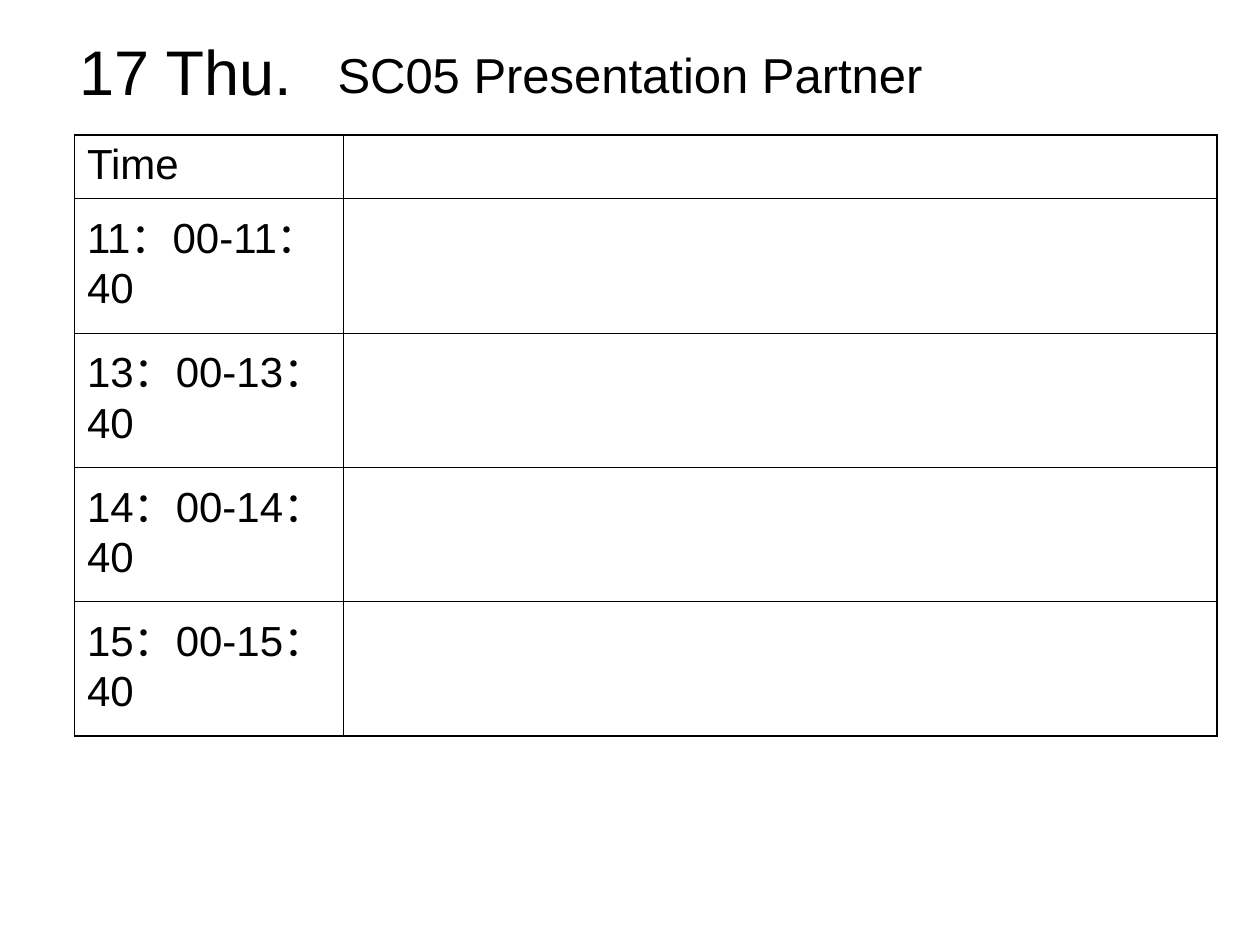
from lxml import etree
from pptx import Presentation
from pptx.dml.color import RGBColor
from pptx.enum.text import MSO_ANCHOR, PP_ALIGN
from pptx.oxml.ns import qn
from pptx.util import Cm, Pt

CENTER, LEFT = PP_ALIGN.CENTER, PP_ALIGN.LEFT
TOP = MSO_ANCHOR.TOP

HEADINGS = [
    {"text": "SC05 Presentation Partner", "box": (1.27, 0.77, 22.86, 3.17), "size": "title", "wrap": True},
    {"text": "17 Thu.", "box": (1.34, 0.53, 4.8, 1.78), "size": "date", "wrap": False},
]
SCHEDULE = ["Time", "11：00-11：40", "13：00-13：40", "14：00-14：40", "15：00-15：40"]
TABLE_LEFT, TABLE_TOP = 1.5, 2.72
COLUMN_WIDTHS = [5.42, 17.61]
ROW_HEIGHTS = [1.28] + [2.71] * (len(SCHEDULE) - 1)

THEME = {
    "font": "Arial",
    "ink": "000000",
    "sizes": {"title": 28, "date": 36, "table": 24},
    "outer": 1.08,
    "inner": 0.45,
}


def write_text(frame, text, size, alignment):
    paragraph = frame.paragraphs[0]
    paragraph.alignment = alignment
    run = paragraph.add_run()
    run.text = text
    for name, value in {"name": THEME["font"], "size": Pt(THEME["sizes"][size])}.items():
        setattr(run.font, name, value)
    run.font.color.rgb = RGBColor.from_string(THEME["ink"])


def add_borders(cell, outer_edges):
    properties = cell._tc.get_or_add_tcPr()
    for edge, is_outer in outer_edges.items():
        width = Pt(THEME["outer"] if is_outer else THEME["inner"])
        line = etree.SubElement(properties, qn(f"a:ln{edge}"), w=str(int(width)))
        fill = etree.SubElement(line, qn("a:solidFill"))
        etree.SubElement(fill, qn("a:srgbClr"), val=THEME["ink"])


def add_schedule(slide):
    row_count, column_count = len(SCHEDULE), len(COLUMN_WIDTHS)
    table = slide.shapes.add_table(
        row_count, column_count, Cm(TABLE_LEFT), Cm(TABLE_TOP),
        Cm(sum(COLUMN_WIDTHS)), Cm(sum(ROW_HEIGHTS)),
    ).table
    table.first_row = table.horz_banding = False
    for column, width in zip(table.columns, COLUMN_WIDTHS):
        column.width = Cm(width)
    for row_index, (row, height) in enumerate(zip(table.rows, ROW_HEIGHTS)):
        row.height = Cm(height)
        for column_index, cell in enumerate(row.cells):
            add_borders(cell, {
                "L": column_index == 0,
                "R": column_index == column_count - 1,
                "T": row_index == 0,
                "B": row_index == row_count - 1,
            })
            cell.fill.background()
        write_text(row.cells[0].text_frame, SCHEDULE[row_index], "table", LEFT)


def add_heading(slide, heading):
    frame = slide.shapes.add_textbox(*map(Cm, heading["box"])).text_frame
    for name, value in {"word_wrap": heading["wrap"], "vertical_anchor": TOP}.items():
        setattr(frame, name, value)
    write_text(frame, heading["text"], heading["size"], CENTER)


def main():
    presentation = Presentation()
    presentation.slide_width, presentation.slide_height = Cm(25.4), Cm(19.05)
    slide = presentation.slides.add_slide(presentation.slide_layouts[6])
    title, date = HEADINGS
    add_heading(slide, title)
    add_schedule(slide)
    add_heading(slide, date)
    presentation.save("out.pptx")


if __name__ == "__main__":
    main()
